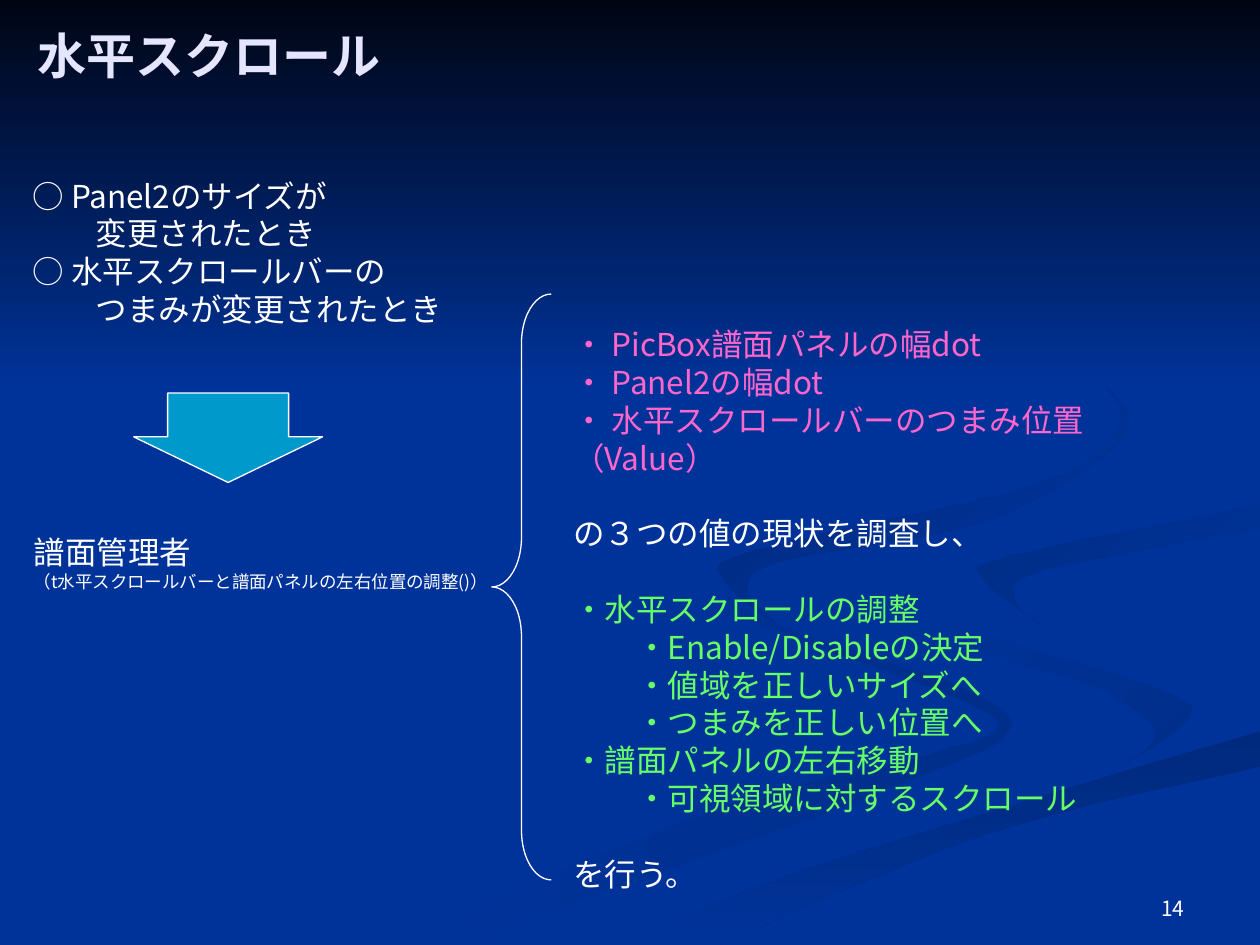
from lxml.etree import SubElement
from pptx import Presentation
from pptx.dml.color import RGBColor as Rgb
from pptx.enum.shapes import MSO_SHAPE as Preset
from pptx.enum.text import MSO_ANCHOR as Anchor, PP_ALIGN as Align
from pptx.oxml.ns import qn
from pptx.util import Pt

COLORS = {
    "blue": "003399", "night": "000514", "white": "FFFFFF", "lavender": "E5E5FF",
    "pink": "FF66CC", "green": "66FF66", "cyan": "0099CC",
    "shade1": "002E8B", "shade2": "002A7D", "shade3": "002D86", "shade4": "002B82",
}
FONT = "Noto Sans CJK JP"
CURVE_STEPS = 6


def paint_gradient(shape, start, end, angle):
    shape.shadow.inherit = False
    shape.line.fill.background()
    shape.fill.gradient()
    shape.fill.gradient_angle = angle
    for stop, color in zip(shape.fill.gradient_stops, (start, end)):
        stop.color.rgb = Rgb.from_string(COLORS[color])


def add_text(page, bounds, lines, frame_format, font_format):
    box = page.shapes.add_textbox(*map(Pt, bounds))
    frame = box.text_frame
    for name, value in {"word_wrap": True, **frame_format}.items():
        setattr(frame, name, value)
    for number, (text, color, size, para_format) in enumerate(lines):
        para = frame.add_paragraph() if number else frame.paragraphs[0]
        layout = dict(para_format)
        indent = layout.pop("indent", 0)
        if indent:
            para._p.get_or_add_pPr().set("marL", str(Pt(indent)))
        for name, value in layout.items():
            setattr(para, name, value)
        span = para.add_run()
        span.text = text
        for name, value in {"name": FONT, "size": Pt(size), **font_format}.items():
            setattr(span.font, name, value)
        span.font.color.rgb = Rgb.from_string(COLORS[color])
        SubElement(span._r.get_or_add_rPr(), qn("a:ea"), typeface=FONT)


deck = Presentation()
deck.slide_width, deck.slide_height = Pt(720), Pt(540)
page = deck.slides.add_slide(deck.slide_layouts[6])
page.background.fill.solid()
page.background.fill.fore_color.rgb = Rgb.from_string(COLORS["blue"])

ribbons = [
    ("blue", "shade1", 0,
     [(414, 331), (433, 353), (545, 391), (576, 418), (503, 452), (260, 540)],
     [(216, 540), (417, 460), (532, 431), (566, 408), (433, 356), (414, 331)]),
    ("blue", "shade1", 315,
     [(521, 334), (536, 353), (662, 394), (679, 410), (644, 436)],
     [(644, 436), (660, 418), (625, 392), (552, 369), (521, 334)]),
    ("shade2", "blue", 270,
     [(362, 540), (454, 499), (720, 418)], [(720, 438), (565, 476), (411, 540)]),
    ("shade3", "blue", 315,
     [(720, 289), (576, 318), (562, 331), (595, 357)],
     [(595, 357), (580, 343), (596, 326), (720, 302)]),
    ("shade4", "blue", 315,
     [(626, 215), (640, 241), (598, 275), (430, 315), (415, 333), (448, 360)],
     [(448, 360), (427, 338), (449, 320), (566, 297), (643, 248), (626, 215)]),
]
for start, end, angle, *edges in ribbons:
    curve = []
    for edge in edges:
        guides = [edge[0], *edge, edge[-1]]
        for quad in zip(guides, guides[1:], guides[2:], guides[3:]):
            for step in range(CURVE_STEPS):
                t = step / CURVE_STEPS
                curve.append(tuple(
                    b + t * (c - a + t * (2 * a - 5 * b + 4 * c - d
                                          + t * (3 * b - a - 3 * c + d))) / 2
                    for a, b, c, d in zip(*quad)))
        curve.append(edge[-1])
    outline = page.shapes.build_freeform(*curve[0], scale=Pt(1))
    outline.add_line_segments(curve[1:], close=True)
    paint_gradient(outline.convert_to_shape(), start, end, angle)

sky = page.shapes.add_shape(Preset.RECTANGLE, 0, 0, Pt(720), Pt(222))
paint_gradient(sky, "night", "blue", 270)

symbols = [
    (Preset.LEFT_BRACE, (281, 168, 34, 334.8), (0.83, 0.5), None),
    (Preset.DOWN_ARROW, (76.4, 224.6, 108, 51.1), (0.64, 0.51), "cyan"),
]
for preset, bounds, adjustments, color in symbols:
    symbol = page.shapes.add_shape(preset, *map(Pt, bounds))
    symbol.shadow.inherit = False
    for number, value in enumerate(adjustments):
        symbol.adjustments[number] = value
    if color:
        symbol.fill.solid()
        symbol.fill.fore_color.rgb = Rgb.from_string(COLORS[color])
    else:
        symbol.fill.background()
    symbol.line.color.rgb = Rgb.from_string(COLORS["white"])
    symbol.line.width = Pt(0.75)

body = {"line_spacing": Pt(21.6)}
nested = {**body, "indent": 36}
spaced = {**body, "space_before": Pt(21.6)}
small = {"line_spacing": Pt(12.2)}
tight = {"margin_top": Pt(1), "margin_bottom": 0}
texts = [
    ((14.4, 9.4, 692, 44), {"vertical_anchor": Anchor.MIDDLE}, {"bold": True},
     [("水平スクロール", "lavender", 28, {})]),
    ((11.5, 100, 248.4, 86.4), tight, {}, [
        ("○ Panel2のサイズが", "white", 18, body),
        ("変更されたとき", "white", 18, nested),
        ("○ 水平スクロールバーの", "white", 18, body),
        ("つまみが変更されたとき", "white", 18, nested)]),
    ((12.2, 303.8, 282.2, 33.8), tight, {}, [
        ("譜面管理者", "white", 18, body),
        ("（t水平スクロールバーと譜面パネルの左右位置の調整()）", "white", 10, small)]),
    ((320.4, 185, 368.6, 324), tight, {}, [
        ("・ PicBox譜面パネルの幅dot", "pink", 18, body),
        ("・ Panel2の幅dot", "pink", 18, body),
        ("・ 水平スクロールバーのつまみ位置（Value）", "pink", 18, body),
        ("の３つの値の現状を調査し、", "white", 18, spaced),
        ("・水平スクロールの調整", "green", 18, spaced),
        ("・Enable/Disableの決定", "green", 18, nested),
        ("・値域を正しいサイズへ", "green", 18, nested),
        ("・つまみを正しい位置へ", "green", 18, nested),
        ("・譜面パネルの左右移動", "green", 18, body),
        ("・可視領域に対するスクロール", "green", 18, nested),
        ("を行う。", "white", 18, spaced)]),
    ((516.2, 508.3, 167.8, 21.6), {"vertical_anchor": Anchor.BOTTOM}, {},
     [("14", "white", 12, {"alignment": Align.RIGHT})]),
]
for bounds, frame_format, font_format, lines in texts:
    add_text(page, bounds, lines, frame_format, font_format)

deck.save("out.pptx")
